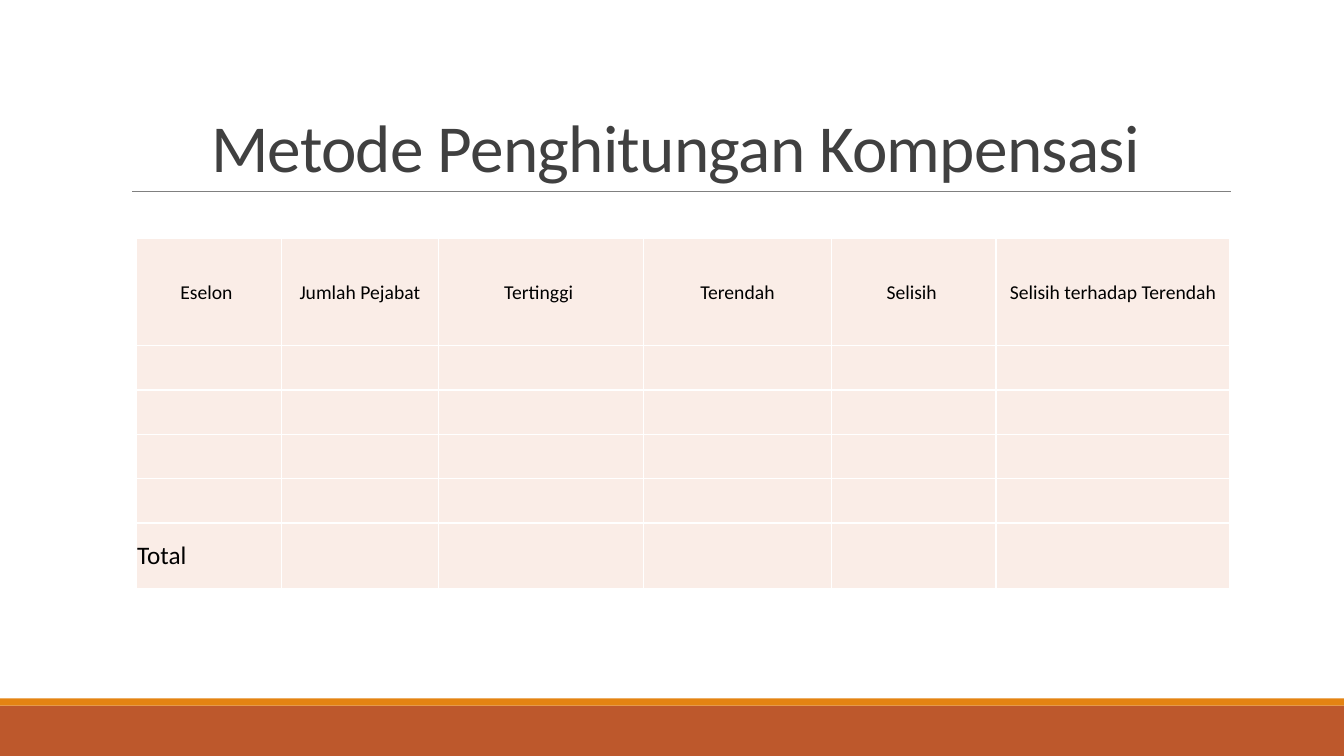
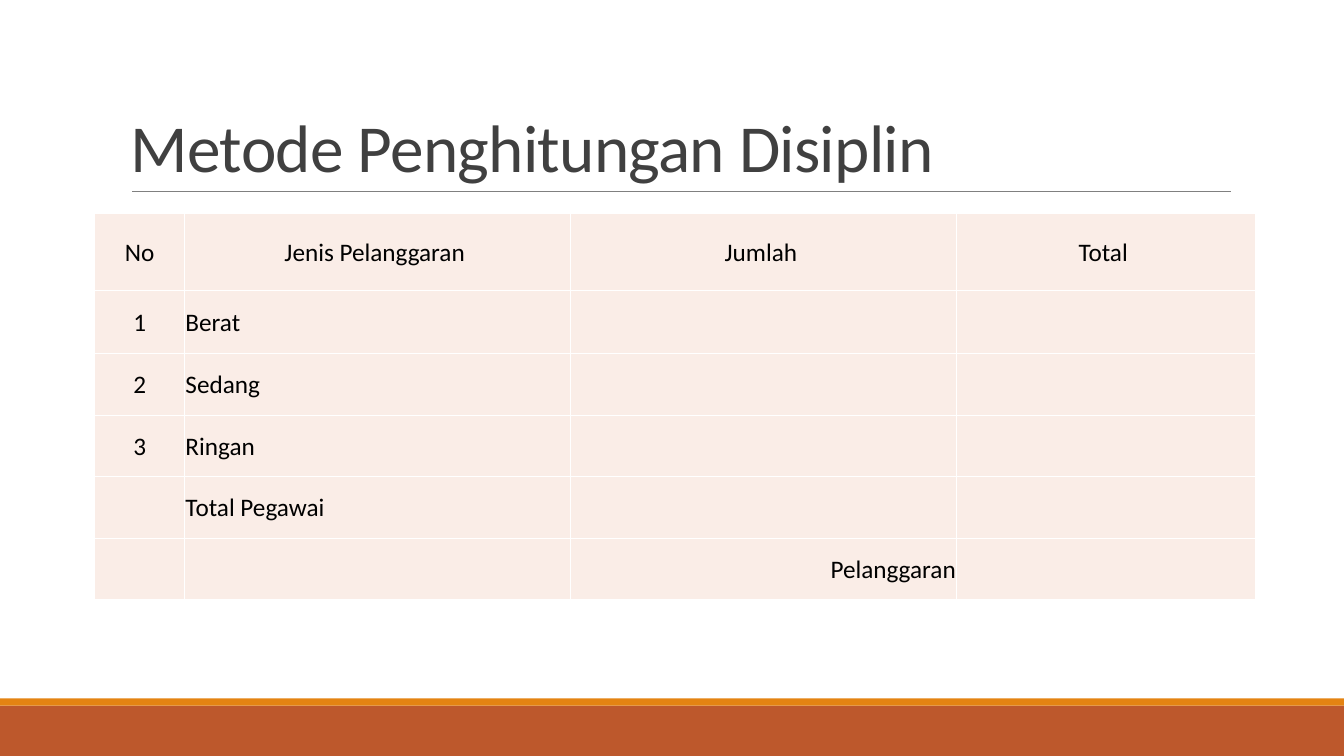
from lxml import etree
from pptx import Presentation
from pptx.dml.color import RGBColor
from pptx.enum.shapes import MSO_CONNECTOR, MSO_SHAPE
from pptx.enum.text import MSO_ANCHOR, PP_ALIGN
from pptx.oxml.ns import qn
from pptx.util import Inches, Pt

LEFT, CENTER, RIGHT = PP_ALIGN.LEFT, PP_ALIGN.CENTER, PP_ALIGN.RIGHT
MIDDLE, BOTTOM = MSO_ANCHOR.MIDDLE, MSO_ANCHOR.BOTTOM
RECTANGLE, STRAIGHT = MSO_SHAPE.RECTANGLE, MSO_CONNECTOR.STRAIGHT

COLORS = {
    "band": "BD582C",
    "stripe": "E48312",
    "rule": "808080",
    "title": "404040",
    "cell": "FAEDE7",
    "border": "FFFFFF",
    "text": "000000",
}
FONT = "Calibri"
SLIDE_W, SLIDE_H = 13.33, 7.5
CELL_FORMAT = {
    "margin_left": Inches(0.01),
    "margin_right": Inches(0.01),
    "margin_top": Inches(0.01),
    "margin_bottom": Inches(0),
    "vertical_anchor": MIDDLE,
}


def rgb(name):
    return RGBColor.from_string(COLORS[name])


def set_format(target, values):
    for attribute, value in values.items():
        setattr(target, attribute, value)


def set_font(font, size, color):
    set_format(font, {"name": FONT, "size": Pt(size)})
    font.color.rgb = rgb(color)


def add_band(slide, top, height, color):
    band = slide.shapes.add_shape(
        RECTANGLE, Inches(0), Inches(top), Inches(SLIDE_W), Inches(height))
    band.shadow.inherit = False
    band.fill.solid()
    band.fill.fore_color.rgb = rgb(color)
    band.line.fill.background()


def add_frame(slide):
    # Footer bands
    add_band(slide, 7, 0.5, "band")
    add_band(slide, 6.93, 0.07, "stripe")
    # Rule under the title
    rule = slide.shapes.add_connector(
        STRAIGHT, Inches(1.31), Inches(1.9), Inches(12.21), Inches(1.9))
    rule.line.color.rgb = rgb("rule")
    rule.line.width = Pt(0.5)
    etree.SubElement(rule._element.spPr, qn("a:effectLst"))


def add_title(slide, text, align):
    box = slide.shapes.add_textbox(
        Inches(1.2), Inches(0.31), Inches(11), Inches(1.59))
    set_format(box.text_frame, {"word_wrap": True, "vertical_anchor": BOTTOM})
    paragraph = box.text_frame.paragraphs[0]
    set_format(paragraph, {"alignment": align, "line_spacing": 0.85})
    run = paragraph.add_run()
    run.text = text
    set_font(run.font, 48, "title")
    run._r.get_or_add_rPr().set("spc", "-50")


def add_borders(cell):
    properties = cell._tc.get_or_add_tcPr()
    for side in ("lnL", "lnR", "lnT", "lnB"):
        line = etree.SubElement(properties, qn(f"a:{side}"), w=str(Pt(1)))
        fill = etree.SubElement(line, qn("a:solidFill"))
        etree.SubElement(fill, qn("a:srgbClr"), val=COLORS["border"])


def add_grid(slide, left, top, widths, heights, entries):
    """Place a table; entries maps (row, column) to (text, size, alignment)."""
    table = slide.shapes.add_table(
        len(heights), len(widths), Inches(left), Inches(top),
        Inches(sum(widths)), Inches(sum(heights))).table
    set_format(table, {"first_row": False, "horz_banding": False})
    for column, width in zip(table.columns, widths):
        column.width = Inches(width)
    for row, height in zip(table.rows, heights):
        row.height = Inches(height)
    for cell in table.iter_cells():
        set_format(cell, CELL_FORMAT)
        add_borders(cell)
        cell.fill.solid()
        cell.fill.fore_color.rgb = rgb("cell")
    for (row, column), (text, size, align) in entries.items():
        paragraph = table.cell(row, column).text_frame.paragraphs[0]
        paragraph.alignment = align
        run = paragraph.add_run()
        run.text = text
        set_font(run.font, size, "text")


def header_entries(labels, size):
    return {(0, column): (label, size, CENTER)
            for column, label in enumerate(labels)}


def compensation_table(slide):
    entries = header_entries(
        ["Eselon ", "Jumlah Pejabat", "Tertinggi ", "Terendah", "Selisih ",
         "Selisih terhadap Terendah"], 14)
    entries[5, 0] = ("Total", 18, LEFT)
    add_grid(slide, 1.35, 2.37, [1.44, 1.56, 2.03, 1.87, 1.63, 2.32],
             [1.06] + [0.44] * 4 + [0.65], entries)


def discipline_table(slide):
    entries = header_entries(
        ["No", "Jenis Pelanggaran ", "Jumlah ", "Total "], 18)
    for number, violation in enumerate(["Berat", "Sedang", "Ringan"], 1):
        entries[number, 0] = (str(number), 18, CENTER)
        entries[number, 1] = (violation, 18, LEFT)
    entries[4, 1] = ("Total Pegawai", 18, LEFT)
    entries[5, 2] = ("Pelanggaran", 18, RIGHT)
    add_grid(slide, 0.94, 2.12, [0.89, 3.83, 3.83, 2.96],
             [0.76, 0.63] + [0.61] * 4, entries)


def main():
    deck = Presentation()
    deck.slide_width, deck.slide_height = Inches(SLIDE_W), Inches(SLIDE_H)
    for title, align, add_content in (
        ("Metode Penghitungan Kompensasi", CENTER, compensation_table),
        ("Metode Penghitungan Disiplin", LEFT, discipline_table),
    ):
        slide = deck.slides.add_slide(deck.slide_layouts[6])
        add_frame(slide)
        add_title(slide, title, align)
        add_content(slide)
    deck.save("out.pptx")


if __name__ == "__main__":
    main()
